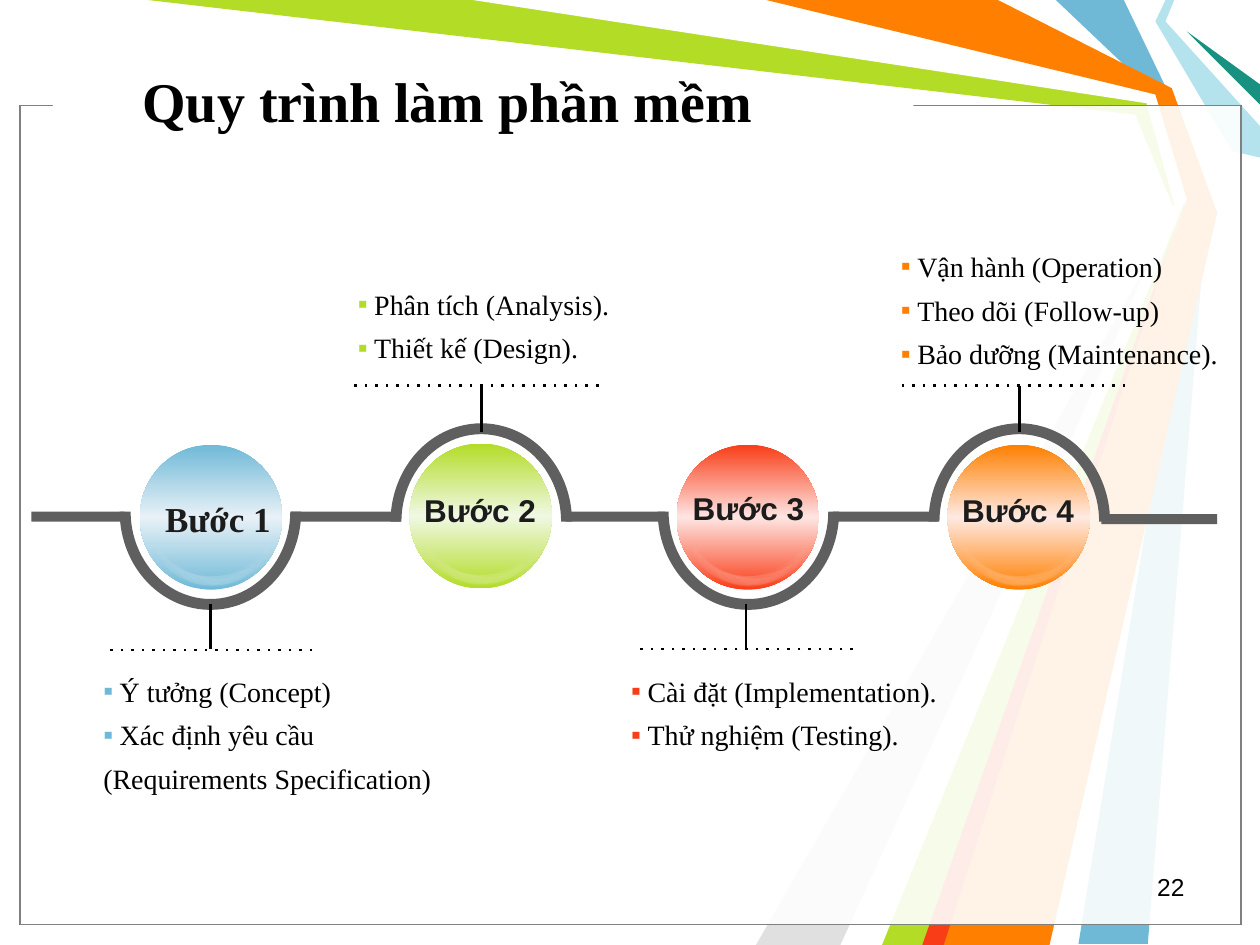
from copy import deepcopy

from lxml import etree
from pptx import Presentation
from pptx.dml.color import RGBColor
from pptx.enum.dml import MSO_LINE
from pptx.enum.shapes import MSO_CONNECTOR, MSO_SHAPE
from pptx.enum.text import MSO_ANCHOR, MSO_AUTO_SIZE, PP_ALIGN
from pptx.oxml.ns import qn
from pptx.util import Inches, Pt

RECT, OVAL, MOON, ARC = (MSO_SHAPE.RECTANGLE, MSO_SHAPE.OVAL, MSO_SHAPE.MOON,
                         MSO_SHAPE.BLOCK_ARC)
STRAIGHT = MSO_CONNECTOR.STRAIGHT
DOT = MSO_LINE.ROUND_DOT
LEFT, CENTER, RIGHT = PP_ALIGN.LEFT, PP_ALIGN.CENTER, PP_ALIGN.RIGHT
TOP, MIDDLE = MSO_ANCHOR.TOP, MSO_ANCHOR.MIDDLE
NO_FIT = MSO_AUTO_SIZE.NONE

BLACK = RGBColor(0x00, 0x00, 0x00)
WHITE = RGBColor(0xFF, 0xFF, 0xFF)
INK = RGBColor(0x1C, 0x1C, 0x1C)
DARK_GRAY = RGBColor(0x5F, 0x5F, 0x5F)
GRAY = RGBColor(0x80, 0x80, 0x80)
LIGHT_GRAY = RGBColor(0xE0, 0xE0, 0xE0)
BLUE = RGBColor(0x6F, 0xB9, 0xD7)
GREEN = RGBColor(0xB3, 0xDC, 0x27)
RED = RGBColor(0xF9, 0x3D, 0x17)
ORANGE = RGBColor(0xFF, 0x7F, 0x00)
PALE_CYAN = RGBColor(0xB4, 0xE3, 0xEE)
TEAL = RGBColor(0x18, 0x91, 0x80)
PALE_BLUE = RGBColor(0xE8, 0xF1, 0xF7)
PALE_GREEN = RGBColor(0xF0, 0xF8, 0xE4)
PALE_RED = RGBColor(0xFE, 0xE5, 0xE3)
PALE_ORANGE = RGBColor(0xFF, 0xEA, 0xE3)
SERIF, SANS = "Times New Roman", "Arial"

RIBBONS = [
    (BLUE, [(8.92, 0), (9.29, 0.77), (9.58, 1.67), (9.11, 7.49), (8.56, 7.49),
            (9.5, 1.67), (9.17, 0.75), (8.38, 0)]),
    (GREEN, [(1.17, 0), (3.83, 0), (9.14, 0.78), (9.42, 1.69), (7.42, 7.5),
             (6.92, 7.5), (9.35, 1.73), (9.01, 0.91)]),
    (LIGHT_GRAY, [(6.67, 7.5), (9.27, 1.81), (6, 7.5)]),
    (WHITE, [(3.75, 0), (9.1, 0.82), (9.32, 1.62), (6.75, 7.5), (7, 7.5),
             (9.41, 1.58), (9.17, 0.75), (6, 0)]),
    (PALE_CYAN, [(9.25, 0), (9.17, 0.17), (9.78, 1.2), (10, 1.25), (10, 1),
                 (9.25, 0.17), (9.32, 0)]),
    (TEAL, [(10, 0.83), (9.42, 0.25), (10, 0.67)]),
    (ORANGE, [(6.08, 0), (7.92, 0), (9.3, 0.7), (9.66, 1.69), (8.33, 7.5),
              (7.33, 7.5), (9.42, 1.58), (9.17, 0.75)]),
    (RED, [(7.32, 7.5), (9.32, 1.83), (7.49, 7.5)]),
]

# Each moon: offset from the ball's corner, then rotation
MOONS = [(0.7, 0.69, 246.1), (0.61, 0.73, 259.7), (0.55, 0.74, 264.6),
         (0.48, 0.74, 273.5), (0.52, 0.74, 268.7), (0.42, 0.74, 282.2),
         (0.37, 0.73, 287.2), (0.3, 0.7, 296)]

# Ball corner, colours, label (text, place, font, size), arc (left, top, rotation),
# stem (x, top, bottom), dotted line (left, right, y), list box, list items
STEPS = [
    ((1.11, 3.53), BLUE, PALE_BLUE, ("Bước 1", 1.16, 3.9, SERIF, 20),
     (0.95, 3.28, 180), (1.67, 4.79, 5.15), (0.84, 2.48, 5.16),
     (0.72, 5.22, 2.83, 1.15),
     ["Ý tưởng (Concept)", "Xác định yêu cầu", "(Requirements Specification)"]),
    ((3.25, 3.52), GREEN, PALE_GREEN, ("Bước 2", 3.24, 3.85, SANS, 18),
     (3.1, 3.36, 0), (3.82, 3.06, 3.43), (2.81, 4.75, 3.06),
     (2.74, 2.15, 2.26, 0.8), ["Phân tích (Analysis).", "Thiết kế (Design)."]),
    ((5.37, 3.53), RED, PALE_RED, ("Bước 3", 5.37, 3.83, SANS, 18),
     (5.22, 3.28, 180), (5.92, 4.79, 5.15), (5.03, 6.77, 5.15),
     (4.91, 5.22, 2.9, 0.8), ["Cài đặt (Implementation).", "Thử nghiệm (Testing)."]),
    ((7.52, 3.53), ORANGE, PALE_ORANGE, ("Bước 4", 7.51, 3.85, SANS, 18),
     (7.37, 3.36, 0), (8.09, 3.06, 3.43), (7.14, 8.93, 3.06),
     (7.05, 1.85, 2.86, 1.15),
     ["Vận hành (Operation)", "Theo dõi (Follow-up)", "Bảo dưỡng (Maintenance)."]),
]

BARS = [(0.25, 4.06, 0.74), (2.31, 4.06, 0.87), (4.49, 4.06, 0.79),
        (6.61, 4.06, 0.83), (8.74, 4.08, 0.92)]


def paint(s, color, opacity=100):
    s.shadow.inherit = False
    s.line.fill.background()
    s.fill.solid()
    s.fill.fore_color.rgb = color
    if opacity < 100:
        clr = s._element.spPr.find(qn("a:solidFill"))[0]
        etree.SubElement(clr, qn("a:alpha")).set("val", str(opacity * 1000))


def add_shape(slide, kind, box, color, opacity=100, rotation=0):
    s = slide.shapes.add_shape(kind, *map(Inches, box))
    paint(s, color, opacity)
    s.rotation = rotation
    return s


def add_ribbon(slide, color, points):
    start, *rest = [(Inches(x), Inches(y)) for x, y in points]
    builder = slide.shapes.build_freeform(*start)
    builder.add_line_segments(rest)
    paint(builder.convert_to_shape(), color)


def add_frame(slide):
    for color in (BLACK, GRAY):
        s = add_shape(slide, RECT, (0.16, 0.84, 9.69, 6.5), WHITE, 69)
        s.line.color.rgb = color
        s.line.width = Pt(0.75)
    add_shape(slide, RECT, (0.42, 0.74, 6.83, 0.17), WHITE)


def add_ball(slide, left, top, color, pale):
    """Draw a ball with a pale middle band and a gloss of thin moons."""
    s = add_shape(slide, OVAL, (left, top, 1.13, 1.15), color)
    s.fill.gradient()
    s.fill.gradient_angle = 90
    first, middle = s.fill.gradient_stops
    first.color.rgb, middle.color.rgb = color, pale
    middle.position = 0.5
    stops = s._element.spPr.find(qn("a:gradFill")).find(qn("a:gsLst"))
    last = deepcopy(stops[0])
    last.set("pos", "100000")
    stops.append(last)
    for dx, dy, angle in MOONS:
        moon = add_shape(slide, MOON, (left + dx, top + dy, 0.15, 0.6), WHITE, 4, angle)
        moon.adjustments[0] = 0.5


def add_line(slide, x1, y1, x2, y2, dotted=False):
    c = slide.shapes.add_connector(STRAIGHT, *map(Inches, (x1, y1, x2, y2)))
    c.line.color.rgb = BLACK
    c.line.width = Pt(1.5)
    if dotted:
        c.line.dash_style = DOT
        c.line._get_or_add_ln().find(qn("a:prstDash")).set("val", "dot")
    etree.SubElement(c._element.spPr, qn("a:effectLst"))


def fill_text(s, box, lines, font, size, color=BLACK, bold=False, align=LEFT, anchor=TOP):
    s.left, s.top, s.width, s.height = map(Inches, box)
    tf = s.text_frame
    tf.text = "\n".join(lines)
    tf.word_wrap, tf.auto_size, tf.vertical_anchor = True, NO_FIT, anchor
    for p in tf.paragraphs:
        p.alignment = align
        p.space_before = Pt(0)
        for r in p.runs:
            r.font.name, r.font.size, r.font.bold = font, Pt(size), bold
            r.font.color.rgb = color
    return tf


def add_label(slide, box, text, **style):
    fill_text(slide.shapes.add_textbox(0, 0, 0, 0), box, [text], **style)


def set_bullet(p, color):
    pPr = p._p.get_or_add_pPr()
    pPr.set("marL", str(Inches(0.13)))
    pPr.set("indent", str(-Inches(0.13)))
    clr = etree.SubElement(pPr, qn("a:buClr"))
    etree.SubElement(clr, qn("a:srgbClr")).set("val", str(color))
    etree.SubElement(pPr, qn("a:buChar")).set("char", "▪")


def clear_bullet(p):
    pPr = p._p.get_or_add_pPr()
    pPr.set("marL", "0")
    pPr.set("indent", "0")
    etree.SubElement(pPr, qn("a:buNone"))


def fill_list(s, box, items, color):
    for p in fill_text(s, box, items, SERIF, 16).paragraphs:
        p.line_spacing = 1.3
        if p.text.startswith("("):
            clear_bullet(p)
        else:
            set_bullet(p, color)


def main():
    prs = Presentation()
    prs.slide_width, prs.slide_height = Inches(10), Inches(7.5)
    slide = prs.slides.add_slide(prs.slide_layouts[4])
    title, *lists = slide.placeholders

    for color, points in RIBBONS:
        add_ribbon(slide, color, points)
    add_frame(slide)
    for left, top, width in BARS:
        add_shape(slide, RECT, (left, top, width, 0.08), DARK_GRAY)

    for body, step in zip(lists, STEPS):
        ball, color, pale, label, arc, stem, dots, box, items = step
        add_ball(slide, *ball, color, pale)
        left, top, angle = arc
        s = add_shape(slide, ARC, (left, top, 1.44, 1.56), DARK_GRAY, rotation=angle)
        s.adjustments[2] = 0.06
        x, y1, y2 = stem
        add_line(slide, x, y1, x, y2)
        x1, x2, y = dots
        add_line(slide, x2, y, x1, y, dotted=True)
        text, left, top, font, size = label
        add_label(slide, (left, top, 1.14, 0.4), text, font=font, size=size,
                  color=INK, bold=True, align=CENTER)
        fill_list(body, box, items, color)

    tf = fill_text(title, (0.92, 0.17, 7.51, 1.25), ["Quy trình làm phần mềm"],
                   SERIF, 32, bold=True, anchor=MIDDLE)
    tf.margin_left = Inches(0.21)
    add_label(slide, (7.17, 6.87, 2.33, 0.33), "22", font=SANS, size=14, align=RIGHT)
    for s in (title, *lists):  # bring the text in front of the frame
        slide.shapes._spTree.append(s._element)
    prs.save("out.pptx")


if __name__ == "__main__":
    main()
